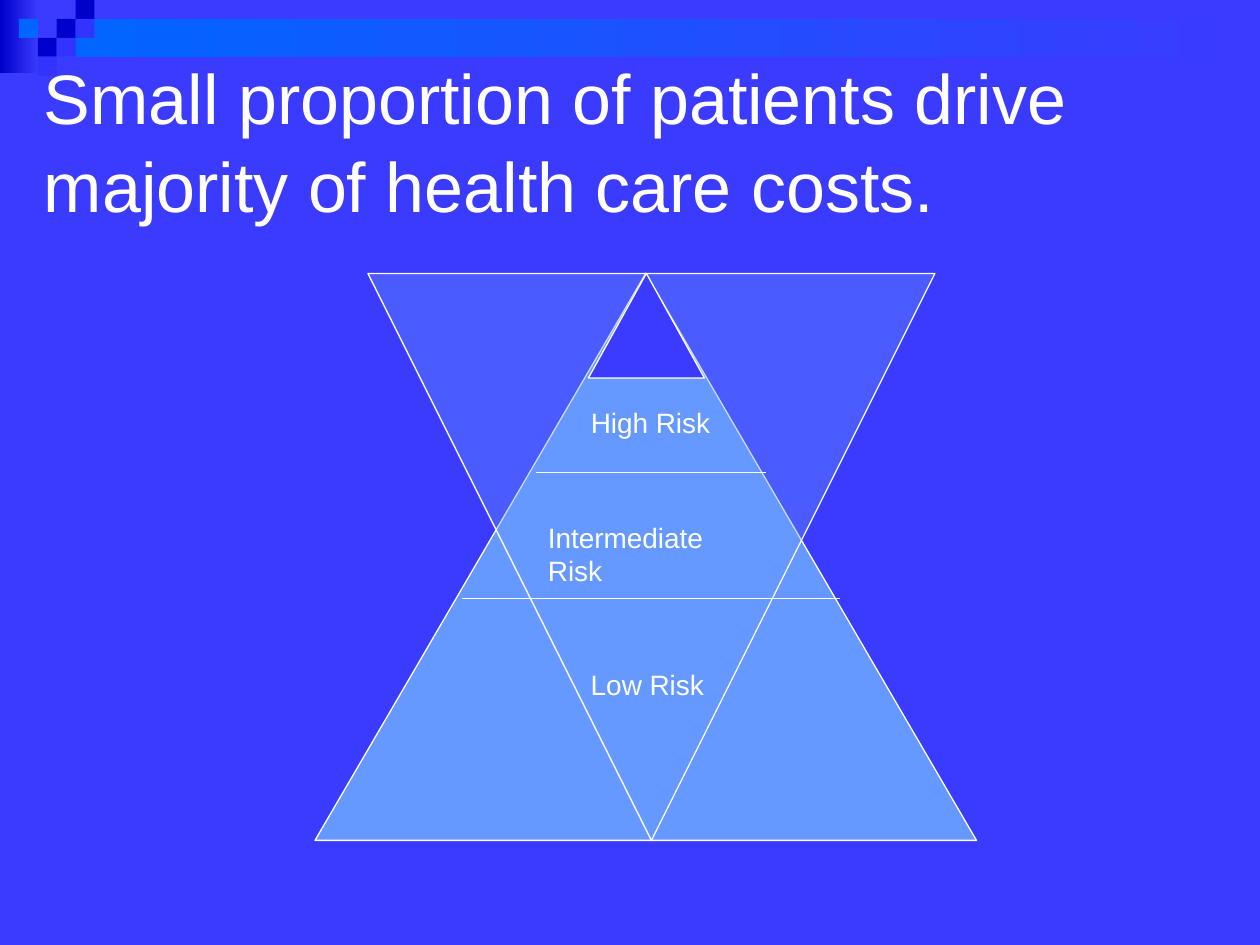
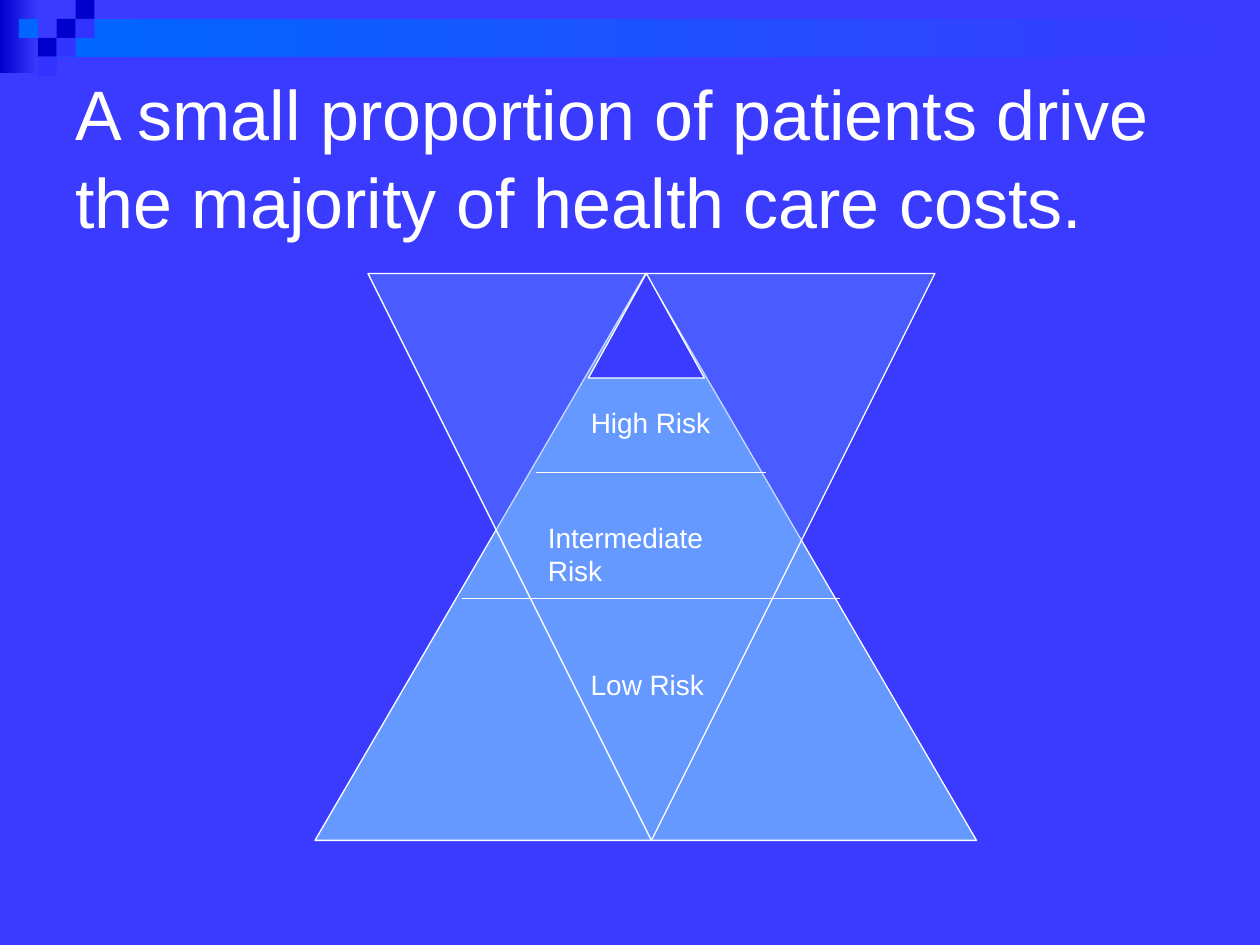
from lxml import etree
from pptx import Presentation
from pptx.dml.color import RGBColor
from pptx.enum.shapes import MSO_CONNECTOR, MSO_SHAPE as SHAPE
from pptx.enum.text import MSO_ANCHOR as ANCHOR, MSO_AUTO_SIZE as AUTO
from pptx.oxml.ns import qn
from pptx.util import Pt

PX = 9144  # 100 px to the inch
WIDTH, HEIGHT = 1000, 750
WHITE = RGBColor(0xFF, 0xFF, 0xFF)
GROUND = RGBColor(0x3B, 0x3B, 0xFF)
NAVY = RGBColor(0x00, 0x00, 0xCC)
AZURE = RGBColor(0x00, 0x66, 0xFF)
VIOLET = RGBColor(0x33, 0x33, 0xFF)
SKY = RGBColor(0x66, 0x99, 0xFF)
TITLE = {"size": Pt(40), "name": "Arial"}
LABEL = {"size": Pt(16), "name": "Arial"}

DIAGRAM_BOX = (250, 217, 525, 450)
SLIDES = [
    ("Small proportion of patients drive majority of health care costs.",
     (25, 35, 958, 150)),
    ("A small proportion of patients drive the majority of health care costs.",
     (50, 60, 900, 125)),
]


def emu(*lengths):
    return [n * PX for n in lengths]


def add_shape(s, kind, box, color=None, outlined=False):
    sp = s.shapes.add_shape(kind, *emu(*box))
    sp.shadow.inherit = False
    if color is not None:
        sp.fill.solid()
        sp.fill.fore_color.rgb = color
    if outlined:
        set_line(sp)
    else:
        sp.line.fill.background()
    return sp


def set_line(sp):
    sp.line.color.rgb = WHITE
    sp.line.width = Pt(0.75)


def add_text(s, text, box, style, wrap=True, **frame):
    tf = s.shapes.add_textbox(*emu(*box)).text_frame
    tf.word_wrap = wrap
    for key, value in frame.items():
        setattr(tf, key, value)
    p = tf.paragraphs[0]
    r = p.add_run()
    r.text = text
    for key, value in style.items():
        setattr(r.font, key, value)
    r.font.color.rgb = WHITE
    return p


def add_header(s):
    # Fading bands
    for box, color in [((0, 0, 31, 58), NAVY), ((45, 15, 955, 30), AZURE)]:
        fill = add_shape(s, SHAPE.RECTANGLE, box).fill
        fill.gradient()
        fill.gradient_angle = 180
        for stop, rgb in zip(fill.gradient_stops, (GROUND, color)):
            stop.color.rgb = rgb

    # Checker squares by column and row
    side = 15
    for col, row, color in [(3, 1, NAVY), (4, 0, NAVY), (4, 1, VIOLET),
                            (2, 2, NAVY), (1, 1, AZURE), (3, 2, VIOLET),
                            (2, 3, VIOLET)]:
        add_shape(s, SHAPE.RECTANGLE, (col * side, row * side, side, side), color)


def add_title(s, text, box):
    p = add_text(s, text, box, TITLE, vertical_anchor=ANCHOR.MIDDLE)
    p.line_spacing = 1.05


def add_risk_diagram(s, box):
    x, y, w, h = box

    # Patients pyramid and inverted costs triangle
    add_shape(s, SHAPE.ISOSCELES_TRIANGLE, box, SKY, outlined=True)
    costs = add_shape(s, SHAPE.ISOSCELES_TRIANGLE, (x + 42, y, h, h), SKY, outlined=True)
    costs.rotation = 180
    rgb = costs.fill._xPr.find(qn("a:solidFill"))[0]
    etree.SubElement(rgb, qn("a:alpha"), val="35000")

    # Tier dividers
    for left, right, dy in [(117, 417, 258), (175, 358, 158)]:
        line = s.shapes.add_connector(
            MSO_CONNECTOR.STRAIGHT, *emu(x + left, y + dy, x + right, y + dy))
        set_line(line)
        etree.SubElement(line._element.spPr, qn("a:effectLst"))

    # Open tip
    add_shape(s, SHAPE.ISOSCELES_TRIANGLE, (x + 217, y, 92, 83), GROUND, outlined=True)

    # Tier labels
    for text, dx, dy, width in [("Low Risk", 209, 308, 110),
                                ("High Risk", 209, 100, 115),
                                ("Intermediate Risk", 175, 191, 192)]:
        add_text(s, text, (x + dx, y + dy, width, 37), LABEL, wrap=False,
                 auto_size=AUTO.SHAPE_TO_FIT_TEXT)


def main():
    prs = Presentation()
    prs.slide_width, prs.slide_height = emu(WIDTH, HEIGHT)
    for title, title_box in SLIDES:
        s = prs.slides.add_slide(prs.slide_layouts[6])
        s.background.fill.solid()
        s.background.fill.fore_color.rgb = GROUND
        add_header(s)
        add_title(s, title, title_box)
        add_risk_diagram(s, DIAGRAM_BOX)
    prs.save("out.pptx")


if __name__ == "__main__":
    main()
